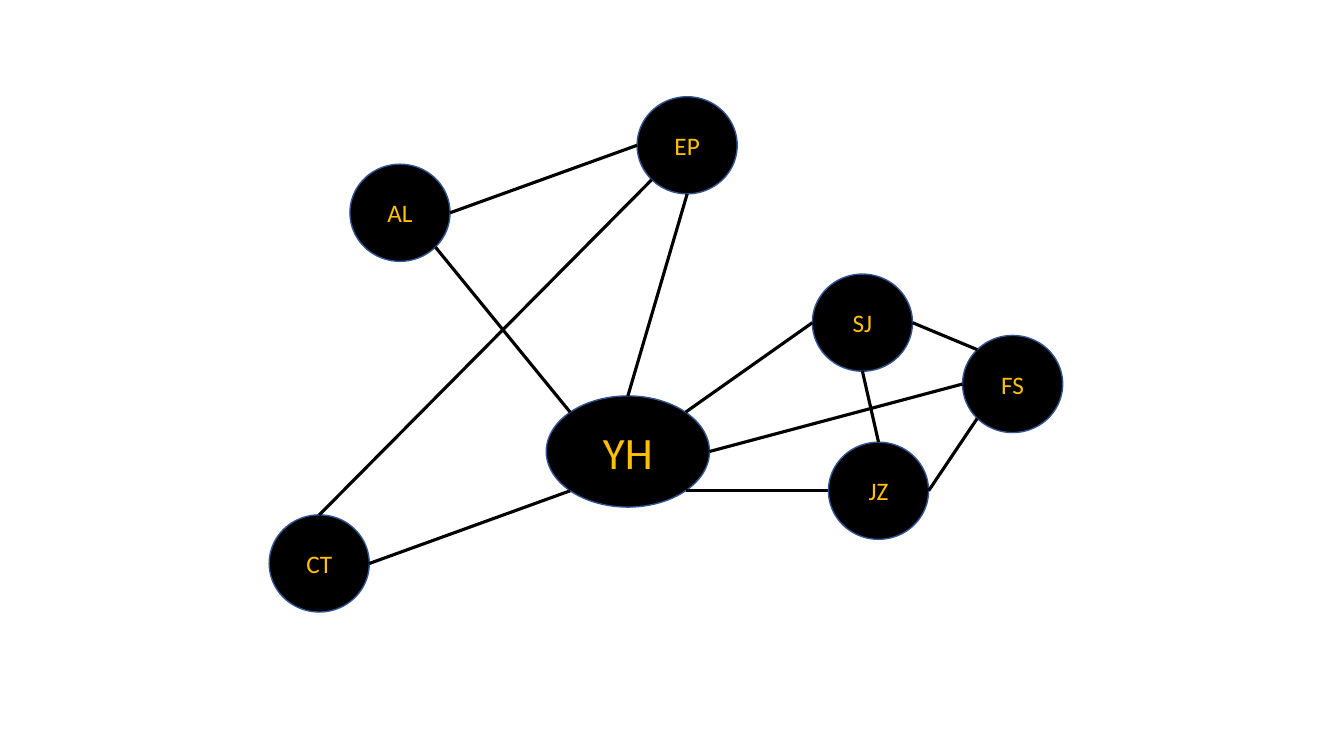
from math import sqrt

from pptx import Presentation
from pptx.dml.color import RGBColor
from pptx.enum.shapes import MSO_CONNECTOR as Connector, MSO_SHAPE as Shape
from pptx.enum.text import MSO_ANCHOR as Anchor, PP_ALIGN as Align
from pptx.oxml.ns import qn
from pptx.util import Pt
from lxml.etree import SubElement

BLACK = RGBColor(0x00, 0x00, 0x00)
BLUE = RGBColor(0x32, 0x54, 0x91)
GOLD = RGBColor(0xFF, 0xC0, 0x00)

NETWORK_ORIGIN = (192.3, 69.1)
SMALL = (71.5, 69.4, 18)
LARGE = (116.6, 79.4, 32)

# Label: left and top within the network, then width, height and text size
NODES = {
    "YH": (197.9, 213.7, *LARGE),
    "AL": (57.7, 48.2, *SMALL),
    "EP": (262.8, 0, *SMALL),
    "CT": (0, 298.7, *SMALL),
    "SJ": (388, 126.7, *SMALL),
    "FS": (495.3, 170.5, *SMALL),
    "JZ": (399.5, 246.77, *SMALL),
}

# Compass points on an ellipse, as fractions of its width and height
NEAR = 0.5 - sqrt(0.125)
FAR = 1 - NEAR
SITES = {
    "N": (0.5, 0), "NE": (FAR, NEAR), "E": (1, 0.5), "SE": (FAR, FAR),
    "S": (0.5, 1), "SW": (NEAR, FAR), "W": (0, 0.5), "NW": (NEAR, NEAR),
}

LINKS = [
    ("YH", "N", "EP", "S"),
    ("EP", "W", "AL", "E"),
    ("AL", "SE", "YH", "NW"),
    ("EP", "SW", "CT", "N"),
    ("CT", "E", "YH", "SW"),
    ("YH", "NE", "SJ", "W"),
    ("SJ", "E", "FS", "NW"),
    ("YH", "E", "FS", "W"),
    ("FS", "SW", "JZ", "E"),
    ("YH", "SE", "JZ", "W"),
    ("SJ", "S", "JZ", "N"),
]


def apply_format(target, values):
    for name, value in values.items():
        setattr(target, name, value)


def add_node(slide, label, left, top, width, height, size):
    shape = slide.shapes.add_shape(
        Shape.OVAL, Pt(left), Pt(top), Pt(width), Pt(height))
    shape.shadow.inherit = False
    shape.fill.solid()
    shape.fill.fore_color.rgb = BLACK
    shape.line.color.rgb = BLUE
    shape.line.width = Pt(1)
    apply_format(shape.text_frame,
                 {"word_wrap": True, "vertical_anchor": Anchor.MIDDLE})
    paragraph = shape.text_frame.paragraphs[0]
    paragraph.alignment = Align.CENTER
    run = paragraph.add_run()
    run.text = label
    apply_format(run.font, {"name": "Calibri", "size": Pt(size)})
    run.font.color.rgb = GOLD
    return shape


def site_position(shape, site):
    across, down = SITES[site]
    return (round(shape.left + across * shape.width),
            round(shape.top + down * shape.height))


def add_link(slide, start, end):
    connector = slide.shapes.add_connector(Connector.STRAIGHT, *start, *end)
    connector.line.color.rgb = BLACK
    connector.line.width = Pt(2.25)
    SubElement(connector._element.spPr, qn("a:effectLst"))


def add_network(slide, left, top):
    # Nodes
    shapes = {
        label: add_node(slide, label, left + x, top + y, width, height, size)
        for label, (x, y, width, height, size) in NODES.items()
    }
    # Links between nodes
    for source, source_site, target, target_site in LINKS:
        add_link(slide, site_position(shapes[source], source_site),
                 site_position(shapes[target], target_site))


def main():
    presentation = Presentation()
    apply_format(presentation,
                 {"slide_width": Pt(960), "slide_height": Pt(540)})
    slide = presentation.slides.add_slide(presentation.slide_layouts[6])
    add_network(slide, *NETWORK_ORIGIN)
    presentation.save("out.pptx")


if __name__ == "__main__":
    main()
